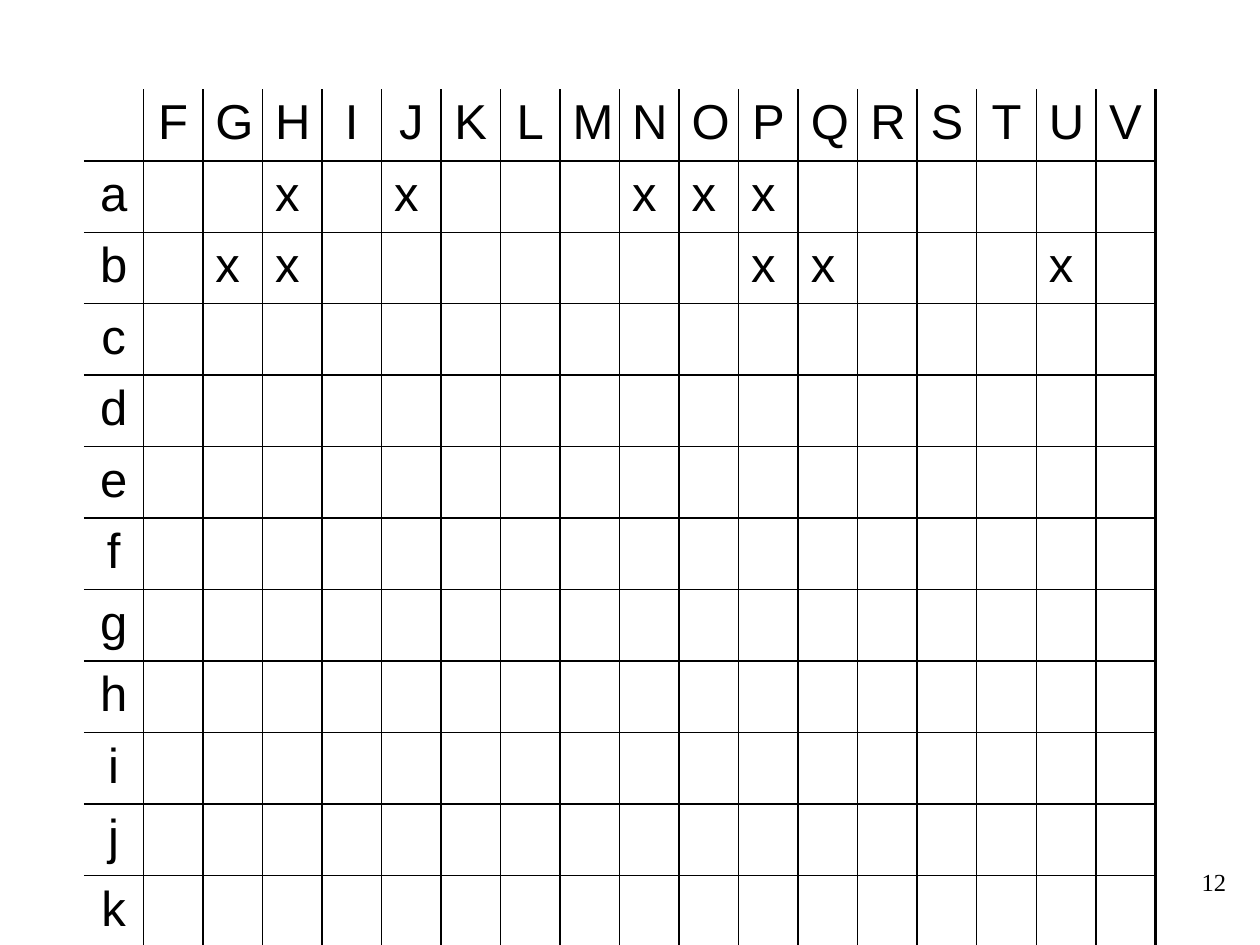
"""Build a slide with a grid of rows a to k against columns F to V."""
import dataclasses

import pptx
import pptx.dml.color
import pptx.enum.text
import pptx.oxml.xmlchemy
import pptx.util
from lxml import etree
from pptx.oxml import ns

Cm, Pt = pptx.util.Cm, pptx.util.Pt
ALIGN = pptx.enum.text.PP_ALIGN


@dataclasses.dataclass(frozen=True)
class Theme:
    ink: str = "000000"
    grid_font: str = "Arial"
    grid_size: int = 28
    number_font: str = "Times New Roman"
    number_size: int = 14
    thin: float = 1
    thick: float = 2.25


theme = Theme()


def write(tf, text, font=theme.grid_font, size=theme.grid_size, align=ALIGN.CENTER):
    p = tf.paragraphs[0]
    p.alignment = align
    r = p.add_run()
    r.text = text
    r.font.name = font
    r.font.size = Pt(size)
    r.font.bold = False
    r.font.color.rgb = pptx.dml.color.RGBColor.from_string(theme.ink)


def set_border(cell, side, width):
    ln = etree.SubElement(cell._tc.get_or_add_tcPr(), ns.qn(f"a:ln{side}"))
    if not width:
        ln.set("w", "0")
        etree.SubElement(ln, ns.qn("a:noFill"))
        return
    ln.set("w", str(Pt(width)))
    fill = etree.SubElement(ln, ns.qn("a:solidFill"))
    etree.SubElement(fill, ns.qn("a:srgbClr"), val=theme.ink)


prs = pptx.Presentation()
prs.slide_width, prs.slide_height = Cm(25.4), Cm(19.05)
s = prs.slides.add_slide(prs.slide_layouts[6])

sp = s.shapes.add_textbox(Cm(19.69), Cm(17.35), Cm(5.28), Cm(1.27))
sp.text_frame.word_wrap = True
write(sp.text_frame, "12", font=theme.number_font, size=theme.number_size, align=ALIGN.RIGHT)

columns = "FGHIJKLMNOPQRSTUV"
rows = "abcdefghijk"
marks = {"a": "HJNOP", "b": "GHPQU"}
n_rows, n_cols = len(rows) + 1, len(columns) + 1
col_width, row_height = Cm(1.2), Cm(1.44)

frame = s.shapes.add_table(n_rows, n_cols, Cm(1.69), Cm(1.8), col_width * n_cols, row_height * n_rows)
table = frame.table
table.first_row = table.horz_banding = False
for column in table.columns:
    column.width = col_width
for row in table.rows:
    row.height = row_height

for i in range(n_rows):
    for j in range(n_cols):
        cell = table.cell(i, j)
        set_border(cell, "L", theme.thin if j else 0)
        set_border(cell, "R", theme.thick if j == n_cols - 1 else theme.thin)
        set_border(cell, "T", theme.thin if i else 0)
        set_border(cell, "B", theme.thick if i == n_rows - 1 else theme.thin)
        cell.fill.background()
        if i and j:
            if columns[j - 1] in marks.get(rows[i - 1], ""):
                write(cell.text_frame, "x", align=ALIGN.LEFT)
        elif i or j:
            write(cell.text_frame, rows[i - 1] if i else columns[j - 1])

prs.save("out.pptx")
